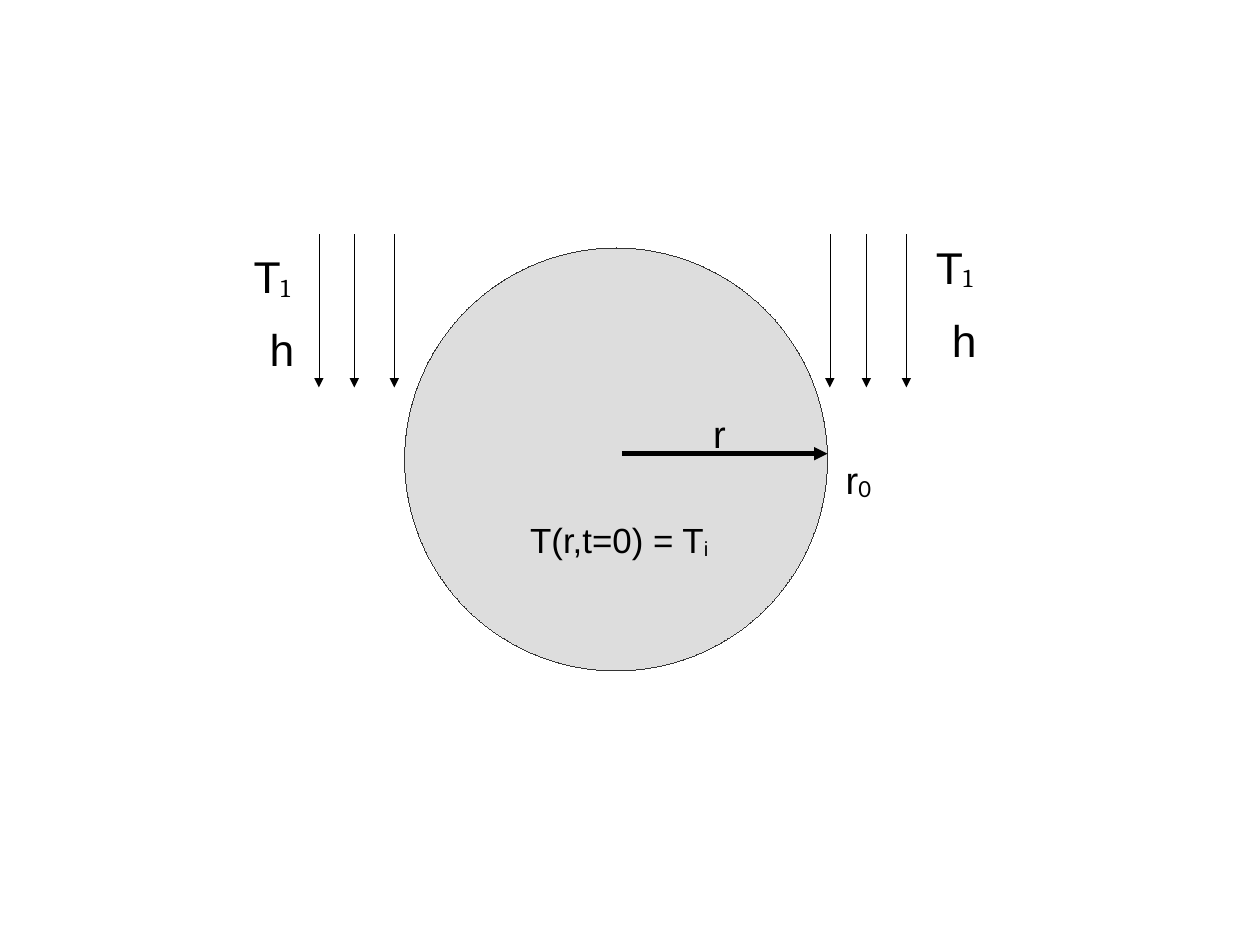
from dataclasses import dataclass

import pptx
import pptx.dml.color
import pptx.dml.line
import pptx.enum.shapes
import pptx.enum.text
import pptx.oxml
import pptx.oxml.ns
import pptx.slide
import pptx.util
from pptx.util import Inches


@dataclass(frozen=True)
class Theme:
    ink: str = "000000"
    sphere_fill: str = "DDDDDD"
    sphere_line: str = "333333"
    font: str = "Arial"
    flow_size: int = 28
    radius_size: int = 24
    formula_size: int = 22
    hairline: float = 0
    radius_line: float = 2.83


@dataclass(frozen=True)
class Label:
    left: float
    top: float
    width: float
    height: float
    size: int
    text: str
    subscript: str = ""
    subscript_font: str = "Arial"
    wrap: bool = False


@dataclass(frozen=True)
class Arrow:
    start: tuple[float, float]
    end: tuple[float, float]
    width: float


THEME = Theme()

# The page measures 28 by 21 centimetres
CENTIMETRES_PER_INCH = 2.54
PAGE_WIDTH = Inches(28 / CENTIMETRES_PER_INCH)
PAGE_HEIGHT = Inches(21 / CENTIMETRES_PER_INCH)

# Flow beside the sphere: arrow positions, and offset of the labels
FLOW_TOP, FLOW_BOTTOM = 2.05, 3.39
FLOW_SIDES = (
    ((2.79, 3.1, 3.45), 2.12, 2.13),
    ((7.26, 7.58, 7.93), 8.09, 2.05),
)


def color(value: str) -> pptx.dml.color.RGBColor:
    return pptx.dml.color.RGBColor.from_string(value)


def format_line(line: pptx.dml.line.LineFormat, line_color: str, width: float) -> None:
    line.color.rgb = color(line_color)
    # A zero width must be stated, or the theme width applies
    line._get_or_add_ln().set("w", str(int(pptx.util.Pt(width))))


def add_sphere(slide: pptx.slide.Slide) -> None:
    sphere = slide.shapes.add_shape(
        pptx.enum.shapes.MSO_SHAPE.OVAL,
        Inches(3.54), Inches(2.17), Inches(3.7), Inches(3.7),
    )
    sphere.shadow.inherit = False
    sphere.fill.solid()
    sphere.fill.fore_color.rgb = color(THEME.sphere_fill)
    format_line(sphere.line, THEME.sphere_line, THEME.hairline)


def add_arrow(slide: pptx.slide.Slide, arrow: Arrow) -> None:
    connector = slide.shapes.add_connector(
        pptx.enum.shapes.MSO_CONNECTOR.STRAIGHT,
        *(Inches(value) for value in arrow.start + arrow.end),
    )
    format_line(connector.line, THEME.ink, arrow.width)
    properties = connector._element.spPr
    line = properties.find(pptx.oxml.ns.qn("a:ln"))
    namespace = pptx.oxml.ns.nsdecls("a")
    line.append(pptx.oxml.parse_xml(f'<a:tailEnd {namespace} type="triangle"/>'))
    properties.append(pptx.oxml.parse_xml(f"<a:effectLst {namespace}/>"))


def add_label(slide: pptx.slide.Slide, label: Label) -> None:
    box = slide.shapes.add_textbox(
        Inches(label.left), Inches(label.top), Inches(label.width), Inches(label.height)
    )
    frame = box.text_frame
    frame.word_wrap = label.wrap
    frame.auto_size = pptx.enum.text.MSO_AUTO_SIZE.SHAPE_TO_FIT_TEXT
    paragraph = frame.paragraphs[0]
    parts = [(label.text, THEME.font, False)]
    if label.subscript:
        parts.append((label.subscript, label.subscript_font, True))
    for text, font, lowered in parts:
        run = paragraph.add_run()
        run.text = text
        run.font.name = font
        run.font.size = pptx.util.Pt(label.size)
        run.font.color.rgb = color(THEME.ink)
        if lowered:
            run.font._element.set("baseline", "-8000")


def main() -> None:
    presentation = pptx.Presentation()
    presentation.slide_width = PAGE_WIDTH
    presentation.slide_height = PAGE_HEIGHT
    slide = presentation.slides.add_slide(presentation.slide_layouts[6])

    # Sphere and its radius
    add_sphere(slide)
    add_arrow(slide, Arrow((5.44, 3.97), (7.24, 3.97), THEME.radius_line))

    # Surrounding flow
    for arrow_positions, left, top in FLOW_SIDES:
        add_label(slide, Label(left, top, 0.69, 0.81, THEME.flow_size,
                               "T", "1", "Cambria", wrap=True))
        add_label(slide, Label(left + 0.14, top + 0.64, 0.41, 0.53, THEME.flow_size, "h"))
        for x in arrow_positions:
            add_arrow(slide, Arrow((x, FLOW_TOP), (x, FLOW_BOTTOM), THEME.hairline))

    # Radius labels and initial condition
    for label in (
        Label(7.3, 3.94, 0.42, 0.61, THEME.radius_size, "r", "0", "Lato"),
        Label(6.14, 3.54, 0.31, 0.47, THEME.radius_size, "r"),
        Label(4.54, 4.49, 1.76, 0.54, THEME.formula_size, "T(r,t=0) = T", "i"),
    ):
        add_label(slide, label)

    presentation.save("out.pptx")


if __name__ == "__main__":
    main()
